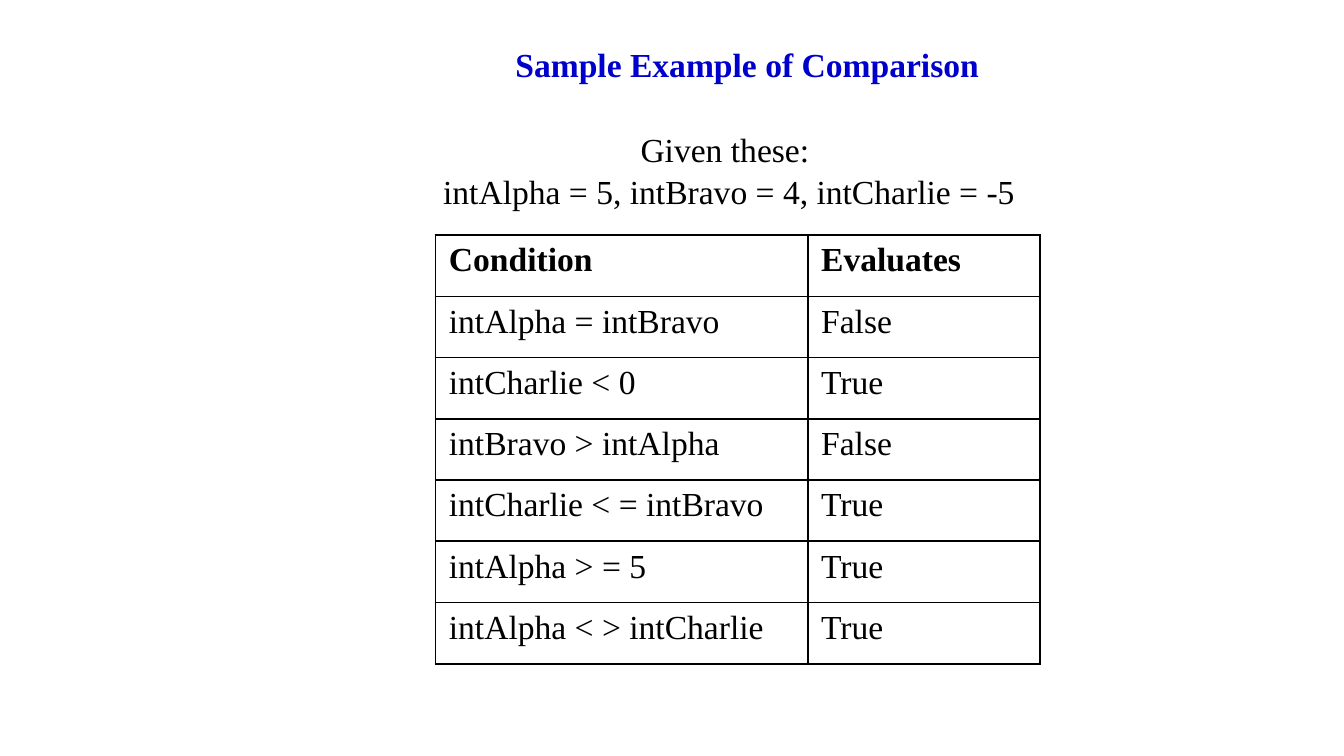
from lxml import etree
from pptx import Presentation
from pptx.dml.color import RGBColor
from pptx.enum.text import MSO_ANCHOR, MSO_AUTO_SIZE, PP_ALIGN
from pptx.oxml import parse_xml
from pptx.oxml.ns import nsdecls, qn
from pptx.util import Inches, Pt


def style(para, color="000000", bold=False):
    para.font.name = "Times New Roman"
    para.font.size = Pt(18)
    para.font.bold = bold
    para.font.color.rgb = RGBColor.from_string(color)


def place(shape, left, top, width, height):
    shape.left, shape.top = Inches(left), Inches(top)
    shape.width, shape.height = Inches(width), Inches(height)


deck = Presentation()
deck.slide_width = Inches(10)
deck.slide_height = Inches(10) * 9 // 16
page = deck.slides.add_slide(deck.slide_layouts[1])

# Title
title = page.shapes.title
place(title, 3.7, 0.27, 3.72, 0.45)
title.text_frame.auto_size = MSO_AUTO_SIZE.NONE
title.text_frame.vertical_anchor = MSO_ANCHOR.MIDDLE
title.text_frame.text = "Sample Example of Comparison"
para = title.text_frame.paragraphs[0]
para.alignment = PP_ALIGN.CENTER
para.line_spacing = 0.9
style(para, "0000CC", bold=True)

# Given values
body = page.placeholders[1]
place(body, 2.84, 0.99, 5.17, 0.57)
body.text_frame.auto_size = MSO_AUTO_SIZE.NONE
body.text_frame.vertical_anchor = MSO_ANCHOR.TOP
body.text_frame.text = "Given these: \nintAlpha = 5, intBravo = 4, intCharlie = -5"
for para in body.text_frame.paragraphs:
    para.alignment = PP_ALIGN.CENTER
    para.line_spacing = 0.7
    para.space_before = Pt(7.5)
    style(para)
    properties = para._p.get_or_add_pPr()
    properties.set("marL", "0")
    properties.set("indent", "0")
    etree.SubElement(properties, qn("a:buNone"))
    # Bullet settings must come before the default run properties
    properties.append(properties.find(qn("a:defRPr")))

# Conditions and their results
rows = [
    ("Condition", "Evaluates"),
    ("intAlpha = intBravo", "False"),
    ("intCharlie < 0", "True"),
    ("intBravo > intAlpha", "False"),
    ("intCharlie < = intBravo", "True"),
    ("intAlpha > = 5", "True"),
    ("intAlpha < > intCharlie", "True"),
]
table = page.shapes.add_table(
    len(rows), 2, Inches(3.24), Inches(1.75), Inches(4.5), Inches(3.19)
).table
table.horz_banding = False
table.first_row = False
for column, width in zip(table.columns, (2.77, 1.73)):
    column.width = Inches(width)
for row_index, texts in enumerate(rows):
    for column_index, text in enumerate(texts):
        cell = table.cell(row_index, column_index)
        cell.text = text
        style(cell.text_frame.paragraphs[0], bold=row_index == 0)
        cell_properties = cell._tc.get_or_add_tcPr()
        for side in "LRTB":
            cell_properties.append(parse_xml(
                f'<a:ln{side} {nsdecls("a")} w="12700"><a:solidFill>'
                f'<a:srgbClr val="000000"/></a:solidFill></a:ln{side}>'
            ))
        cell.fill.background()

deck.save("out.pptx")
